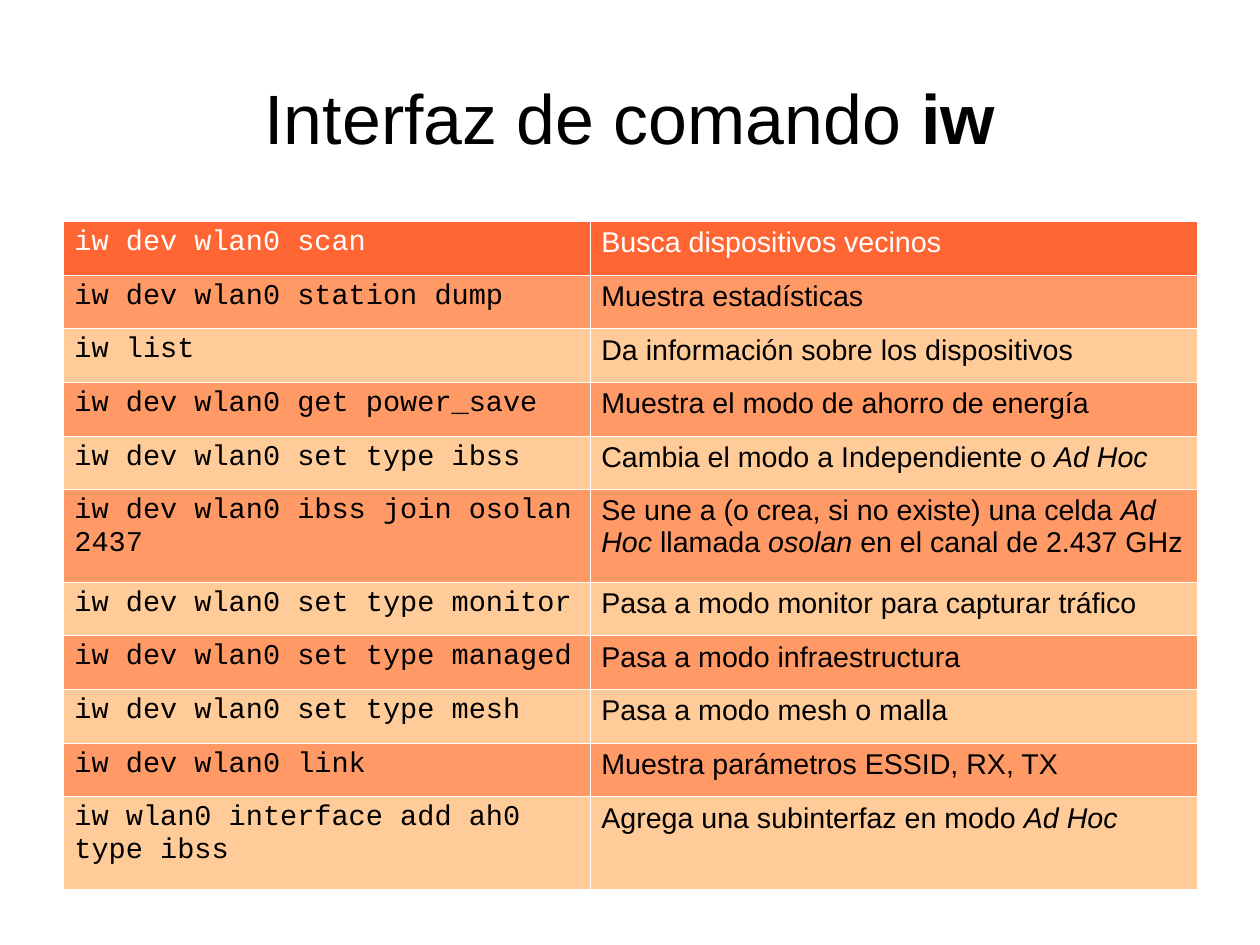
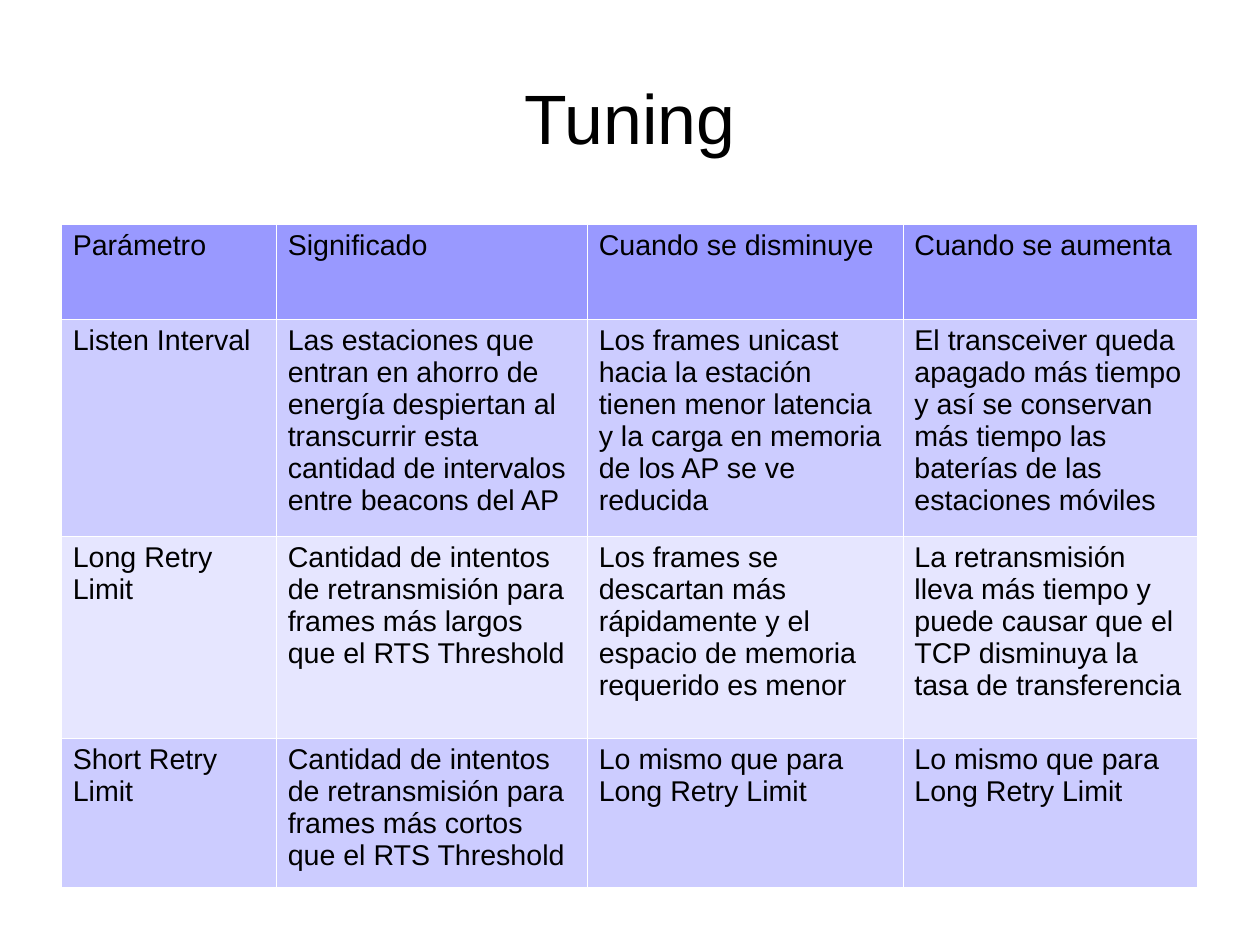
import pptx
import pptx.dml.color
import pptx.enum.text
import pptx.oxml
import pptx.oxml.ns
import pptx.util

WIDTH, HEIGHT = pptx.util.Cm(28), pptx.util.Cm(21)
SANS, MONO = "Arial", "Courier New"
BLACK, WHITE = "000000", "FFFFFF"
TITLE_BOX = (5, 4, 90, 16.7)
ORANGE = ("FF6633", "FF9966", "FFCC99")
VIOLET = ("9999FF", "CCCCFF", "E6E6FF")

COMMANDS = [
    ("iw dev wlan0 scan", "Busca dispositivos vecinos"),
    ("iw dev wlan0 station dump", "Muestra estadísticas"),
    ("iw list", "Da información sobre los dispositivos"),
    ("iw dev wlan0 get power_save", "Muestra el modo de ahorro de energía"),
    ("iw dev wlan0 set type ibss", "Cambia el modo a Independiente o *Ad Hoc*"),
    ("iw dev wlan0 ibss join osolan 2437",
     "Se une a (o crea, si no existe) una celda *Ad Hoc *llamada *osolan* en el canal de 2.437 GHz"),
    ("iw dev wlan0 set type monitor", "Pasa a modo monitor para capturar tráfico"),
    ("iw dev wlan0 set type managed", "Pasa a modo infraestructura"),
    ("iw dev wlan0 set type mesh", "Pasa a modo mesh o malla"),
    ("iw dev wlan0 link", "Muestra parámetros ESSID, RX, TX"),
    ("iw wlan0 interface add ah0 type ibss", "Agrega una subinterfaz en modo *Ad Hoc*"),
]
PARAMETERS = [
    ("Parámetro", "Significado", "Cuando se disminuye", "Cuando se aumenta"),
    ("Listen Interval",
     "Las estaciones que entran en ahorro de energía despiertan al transcurrir esta cantidad de intervalos entre beacons del AP",
     "Los frames unicast hacia la estación tienen menor latencia y la carga en memoria de los AP se ve reducida",
     "El transceiver queda apagado más tiempo y así se conservan más tiempo las baterías de las estaciones móviles"),
    ("Long Retry Limit",
     "Cantidad de intentos de retransmisión para frames más largos que el RTS Threshold",
     "Los frames se descartan más rápidamente y el espacio de memoria requerido es menor",
     "La retransmisión lleva más tiempo y puede causar que el TCP disminuya la tasa de transferencia"),
    ("Short Retry Limit",
     "Cantidad de intentos de retransmisión para frames más cortos que el RTS Threshold",
     "Lo mismo que para Long Retry Limit",
     "Lo mismo que para Long Retry Limit"),
]


def rgb(value):
    """Turn a hex string into a colour."""
    return pptx.dml.color.RGBColor.from_string(value)


def place(box):
    """Turn percentages of the slide's size into lengths."""
    return [int(share * side / 100) for share, side in zip(box, (WIDTH, HEIGHT) * 2)]


def write(frame, text, size=18, font=SANS, color=BLACK, align=None, emphasis="italic"):
    """Write one paragraph, with the parts between asterisks emphasised."""
    para = frame.paragraphs[0]
    para.alignment = align
    for index, part in enumerate(text.split("*")):
        if part:
            span = para.add_run()
            span.text = part
            span.font.size = pptx.util.Pt(size)
            span.font.name = font
            span.font.color.rgb = rgb(color)
            if index % 2:
                setattr(span.font, emphasis, True)


def add_title(page, text):
    """Add the centred title."""
    frame = page.shapes.add_textbox(*place(TITLE_BOX)).text_frame
    frame.word_wrap = True
    frame.vertical_anchor = pptx.enum.text.MSO_ANCHOR.MIDDLE
    frame.margin_left = frame.margin_right = frame.margin_top = frame.margin_bottom = 0
    write(frame, text, size=44, align=pptx.enum.text.PP_ALIGN.CENTER, emphasis="bold")


def add_borders(cell):
    """Give a cell hairline white borders."""
    properties = cell._tc.get_or_add_tcPr()
    for side in "LRTB":
        properties.append(pptx.oxml.parse_xml(
            f'<a:ln{side} {pptx.oxml.ns.nsdecls("a")} w="{int(pptx.util.Pt(0.06))}">'
            f'<a:solidFill><a:srgbClr val="{WHITE}"/></a:solidFill></a:ln{side}>'))


def add_grid(page, box, rows, widths, heights, fills, fonts, header_color):
    """Fill a box with a banded table whose columns and rows follow weights."""
    left, top, width, height = place(box)
    table = page.shapes.add_table(len(rows), len(widths), left, top, width, height).table
    table.first_row = table.horz_banding = False
    for column, weight in zip(table.columns, widths):
        column.width = int(width * weight / sum(widths))
    for row, weight in zip(table.rows, heights):
        row.height = int(height * weight / sum(heights))
    header, odd, even = fills
    for r, texts in enumerate(rows):
        fill = header if r == 0 else odd if r % 2 else even
        for c, text in enumerate(texts):
            cell = table.cell(r, c)
            add_borders(cell)
            cell.fill.solid()
            cell.fill.fore_color.rgb = rgb(fill)
            write(cell.text_frame, text, font=fonts[c], color=BLACK if r else header_color)


def add_table_page(deck, title, **grid):
    """Add a slide with a title above a table."""
    page = deck.slides.add_slide(deck.slide_layouts[6])
    add_title(page, title)
    add_grid(page, **grid)


def main():
    """Build and save the deck."""
    deck = pptx.Presentation()
    deck.slide_width, deck.slide_height = WIDTH, HEIGHT
    add_table_page(
        deck, "Interfaz de comando *iw*", box=(5, 23.4, 90, 70.7), rows=COMMANDS,
        widths=(4.61, 5.31), heights=[0.81 if len(command) > 30 else 0.47 for command, _ in COMMANDS],
        fills=ORANGE, fonts=(MONO, SANS), header_color=WHITE)
    add_table_page(
        deck, "Tuning", box=(4.87, 23.7, 90.13, 70.1), rows=PARAMETERS,
        widths=(1.88, 2.72, 2.76, 2.57), heights=(0.83, 1.9, 1.77, 1.3),
        fills=VIOLET, fonts=(SANS,) * 4, header_color=BLACK)
    deck.save("out.pptx")


if __name__ == "__main__":
    main()
